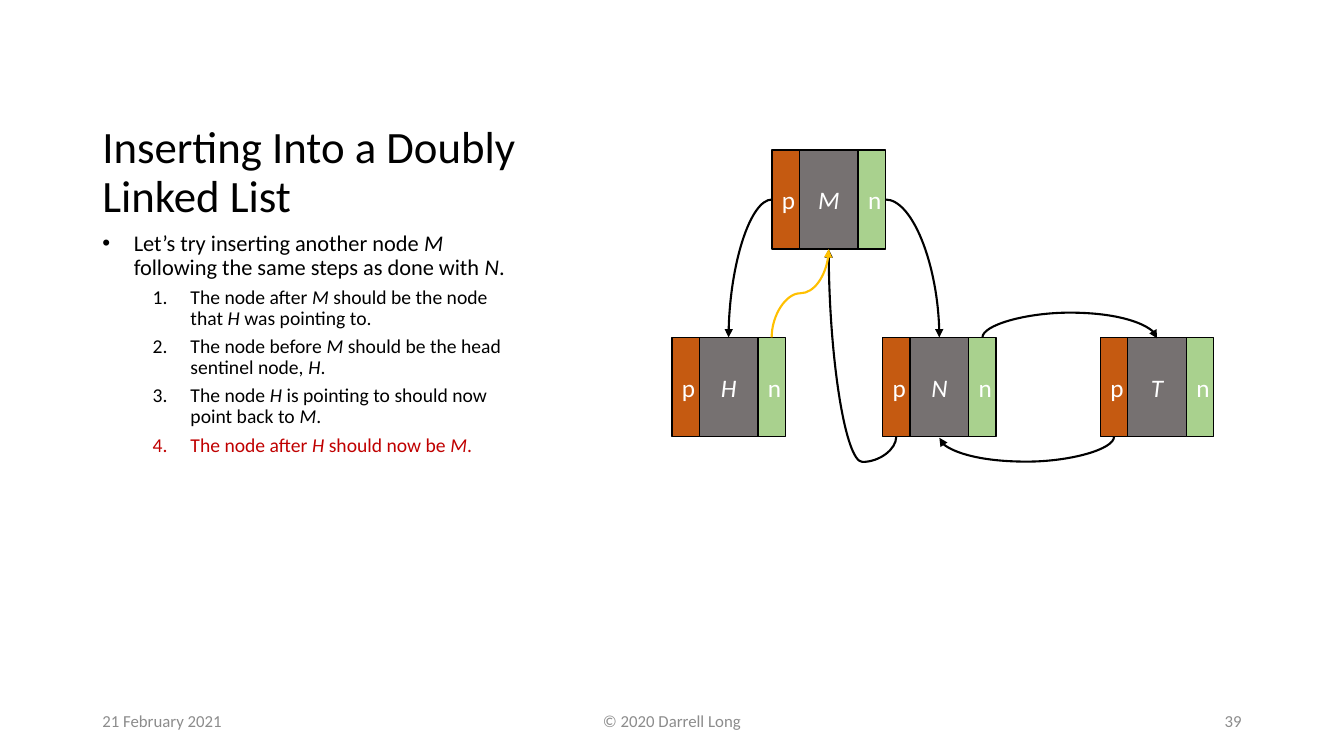
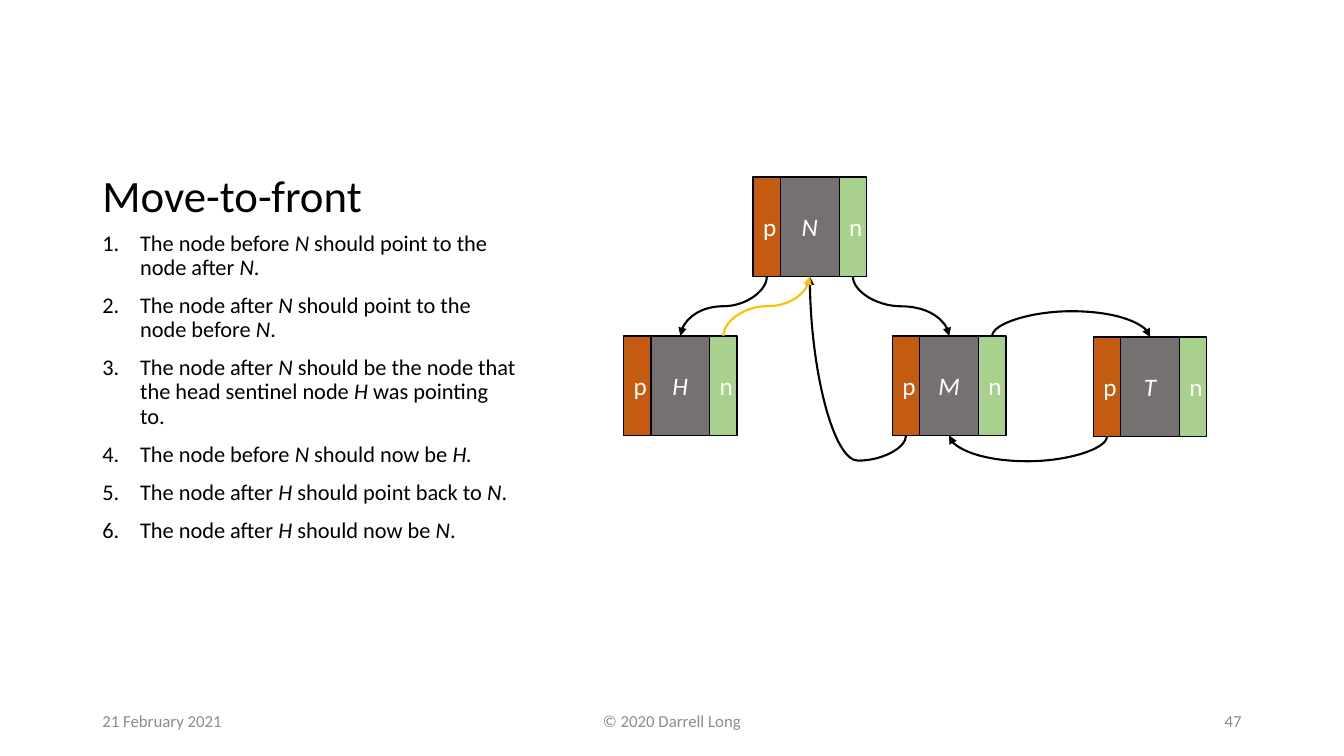
from lxml import etree
from pptx import Presentation
from pptx.dml.color import RGBColor
from pptx.enum import shapes, text
from pptx.oxml.ns import qn
from pptx.util import Pt

COLORS = {
    "ink": "000000", "footer": "8C8C8C", "accent": "C00000", "new": "FFC000",
    "prev": "C55A11", "value": "767171", "next": "A9D18E", "light": "FFFFFF",
}
FONT = "Calibri"
LEFT, COLUMN = 66, 309.6
CELL_HEIGHT, LINK_WIDTH, VALUE_WIDTH = 71, 19.5, 42
CLEARANCE = 18
TOP, SIDE_LEFT, BOTTOM, SIDE_RIGHT = range(4)
ALIGN = text.PP_ALIGN
ANCHOR = text.MSO_ANCHOR


def color(name):
    return RGBColor.from_string(COLORS[name])


def write(para, words, size=16, fill="ink", align=None):
    """Fill a paragraph; words between asterisks become italic."""
    para.alignment = align
    for index, part in enumerate(words.split("*")):
        if part:
            span = para.add_run()
            span.text = part
            font = span.font
            font.name, font.size, font.italic = FONT, Pt(size), index % 2 == 1
            font.color.rgb = color(fill)


def set_bullet(para, indent, hanging, numbered):
    properties = para._p.get_or_add_pPr()
    properties.set("marL", str(Pt(indent)))
    properties.set("indent", str(-Pt(hanging)))
    if numbered:
        etree.SubElement(properties, qn("a:buAutoNum"), type="arabicPeriod")
    else:
        etree.SubElement(properties, qn("a:buFont"), typeface="Arial")
        etree.SubElement(properties, qn("a:buChar"), char="•")


class ListDeck:
    def __init__(self):
        self.deck = Presentation()
        self.deck.slide_width, self.deck.slide_height = Pt(960), Pt(540)
        self.page = None

    def add_page(self, title, number):
        self.page = self.deck.slides.add_slide(self.deck.slide_layouts[6])
        heading = self.box(LEFT, 36, COLUMN, 126, ANCHOR.BOTTOM).paragraphs[0]
        heading.line_spacing = 0.9
        write(heading, title, size=32)
        for left, width, words, align in (
            (LEFT, 216, "21 February 2021", ALIGN.LEFT),
            (318, 324, "© 2020 Darrell Long", ALIGN.CENTER),
            (678, 216, number, ALIGN.RIGHT),
        ):
            frame = self.box(left, 500.5, width, 28.75, ANCHOR.MIDDLE)
            write(frame.paragraphs[0], words, size=12, fill="footer", align=align)

    def box(self, left, top, width, height, anchor=ANCHOR.TOP):
        frame = self.page.shapes.add_textbox(
            Pt(left), Pt(top), Pt(width), Pt(height)).text_frame
        frame.word_wrap, frame.vertical_anchor = True, anchor
        return frame

    def steps(self, items, intro=None, accent=None):
        """Numbered steps, one level down when an introduction leads them."""
        frame = self.box(LEFT, 162, COLUMN, 300)
        lines = ([intro] if intro else []) + items
        for index, words in enumerate(lines):
            para = frame.paragraphs[0] if index == 0 else frame.add_paragraph()
            numbered = words != intro
            nested = bool(intro) and numbered
            para.level = int(nested)
            para.line_spacing = 0.9
            if index:
                para.space_before = Pt(5 if nested else 10)
            indent, hanging = (63, 27) if nested else (27, 27) if numbered else (22.5, 22.5)
            set_bullet(para, indent, hanging, numbered)
            write(para, words, size=14 if nested else 16,
                  fill="accent" if words == accent else "ink")

    def node(self, name, left, top):
        """Draw a grouped node and return its cells by role."""
        group = self.page.shapes.add_group_shape()
        cells = {}
        for role, label, width in (("prev", "p", LINK_WIDTH),
                                   ("value", f"*{name}*", VALUE_WIDTH),
                                   ("next", "n", LINK_WIDTH)):
            cell = group.shapes.add_shape(
                shapes.MSO_SHAPE.RECTANGLE, Pt(left), Pt(top), Pt(width), Pt(CELL_HEIGHT))
            cell.shadow.inherit = False
            cell.fill.solid()
            cell.fill.fore_color.rgb = color(role)
            cell.line.color.rgb, cell.line.width = color("ink"), Pt(1)
            cell.text_frame.vertical_anchor = ANCHOR.MIDDLE
            write(cell.text_frame.paragraphs[0], label, size=18, fill="light",
                  align=ALIGN.CENTER)
            cells[role] = cell
            left += width
        return cells

    def arrow(self, start, start_side, end, end_side, bend=None, fill="ink"):
        """Curve between cell sides; bend is the distance down from the start."""
        line = self.page.shapes.add_connector(shapes.MSO_CONNECTOR.CURVE, 0, 0, 0, 0)
        line.begin_connect(start, start_side)
        line.end_connect(end, end_side)
        line.line.color.rgb, line.line.width = color(fill), Pt(1.5)
        properties = line._element.spPr
        etree.SubElement(properties.find(qn("a:ln")), qn("a:tailEnd"), type="triangle")
        etree.SubElement(properties, qn("a:effectLst"))
        if start_side in (SIDE_LEFT, SIDE_RIGHT):
            properties.find(qn("a:prstGeom")).set("prst", "curvedConnector2")
        else:
            self.turn_upright(line, bend)

    @staticmethod
    def turn_upright(line, bend):
        """Rotate a curve so that it leaves and arrives vertically."""
        across = line.end_x - line.begin_x
        down = line.end_y - line.begin_y or Pt(0.72)
        center_x = line.begin_x + across // 2
        center_y = line.begin_y + down // 2
        line.width, line.height = abs(down), abs(across)
        line.left, line.top = center_x - line.width // 2, center_y - line.height // 2
        properties = line._element.spPr
        frame = properties.find(qn("a:xfrm"))
        frame.set("rot", str(90 * 60000))
        frame.set("flipH", str(int(down < 0)))
        frame.set("flipV", str(int(across > 0)))
        share = 0.5 if bend is None else Pt(bend) / down
        geometry = properties.find(qn("a:prstGeom"))
        guides = geometry.find(qn("a:avLst"))
        if guides is None:
            guides = etree.SubElement(geometry, qn("a:avLst"))
        etree.SubElement(guides, qn("a:gd"), name="adj1", fmla=f"val {round(share * 100000)}")

    def chain(self, head, raised, middle, tail):
        """Links that both diagrams share."""
        self.arrow(tail["prev"], BOTTOM, middle["value"], BOTTOM, CLEARANCE)
        self.arrow(middle["next"], TOP, tail["value"], TOP, -CLEARANCE)
        self.arrow(middle["prev"], BOTTOM, raised["value"], BOTTOM, CLEARANCE)
        self.arrow(head["next"], TOP, raised["value"], BOTTOM, fill="new")


def add_inserting(show):
    show.add_page("Inserting Into a Doubly Linked List", "39")
    last = "The node after *H* should now be *M*."
    show.steps([
        "The node after *M* should be the node that *H* was pointing to.",
        "The node before *M* should be the head sentinel node, *H*.",
        "The node *H* is pointing to should now point back to *M*.",
        last,
    ], intro="Let’s try inserting another node *M* following the same steps as done with *N*.",
        accent=last)
    head, tail = show.node("H", 480, 241), show.node("T", 786, 241)
    middle, raised = show.node("N", 630.5, 241), show.node("M", 551.5, 107)
    show.arrow(raised["next"], SIDE_RIGHT, middle["value"], TOP)
    show.arrow(raised["prev"], SIDE_LEFT, head["value"], TOP)
    show.chain(head, raised, middle, tail)


def add_move_to_front(show):
    show.add_page("Move-to-front", "47")
    show.steps([
        "The node before *N* should point to the node after *N*.",
        "The node after *N* should point to the node before *N*.",
        "The node after *N* should be the node that the head sentinel node *H* was pointing to.",
        "The node before *N* should now be *H.*",
        "The node after *H* should point back to *N*.",
        "The node after *H* should now be *N*.",
    ])
    head, tail = show.node("H", 445.5, 240), show.node("T", 781, 240.75)
    raised, middle = show.node("N", 538, 126.5), show.node("M", 637.5, 240)
    show.arrow(raised["next"], BOTTOM, middle["value"], TOP)
    show.arrow(raised["prev"], BOTTOM, head["value"], TOP)
    show.chain(head, raised, middle, tail)


def main():
    show = ListDeck()
    add_inserting(show)
    add_move_to_front(show)
    show.deck.save("out.pptx")


if __name__ == "__main__":
    main()
